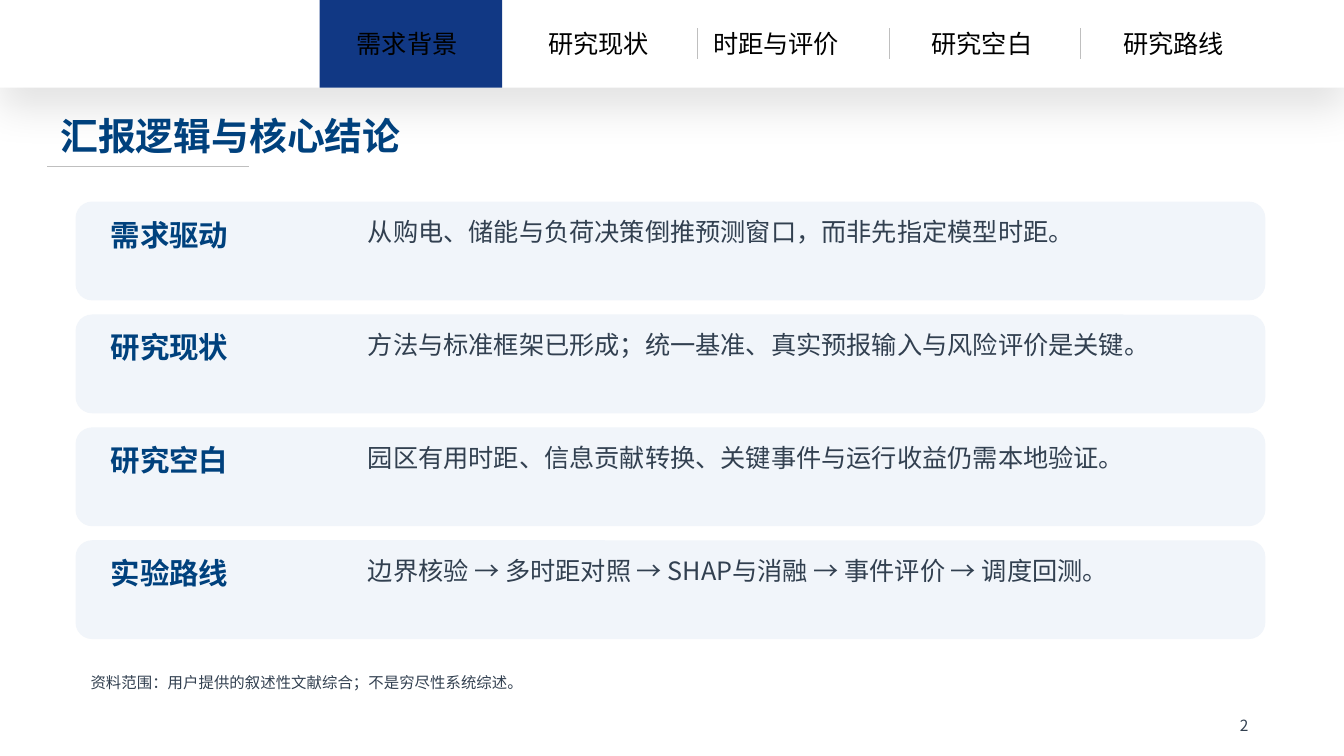
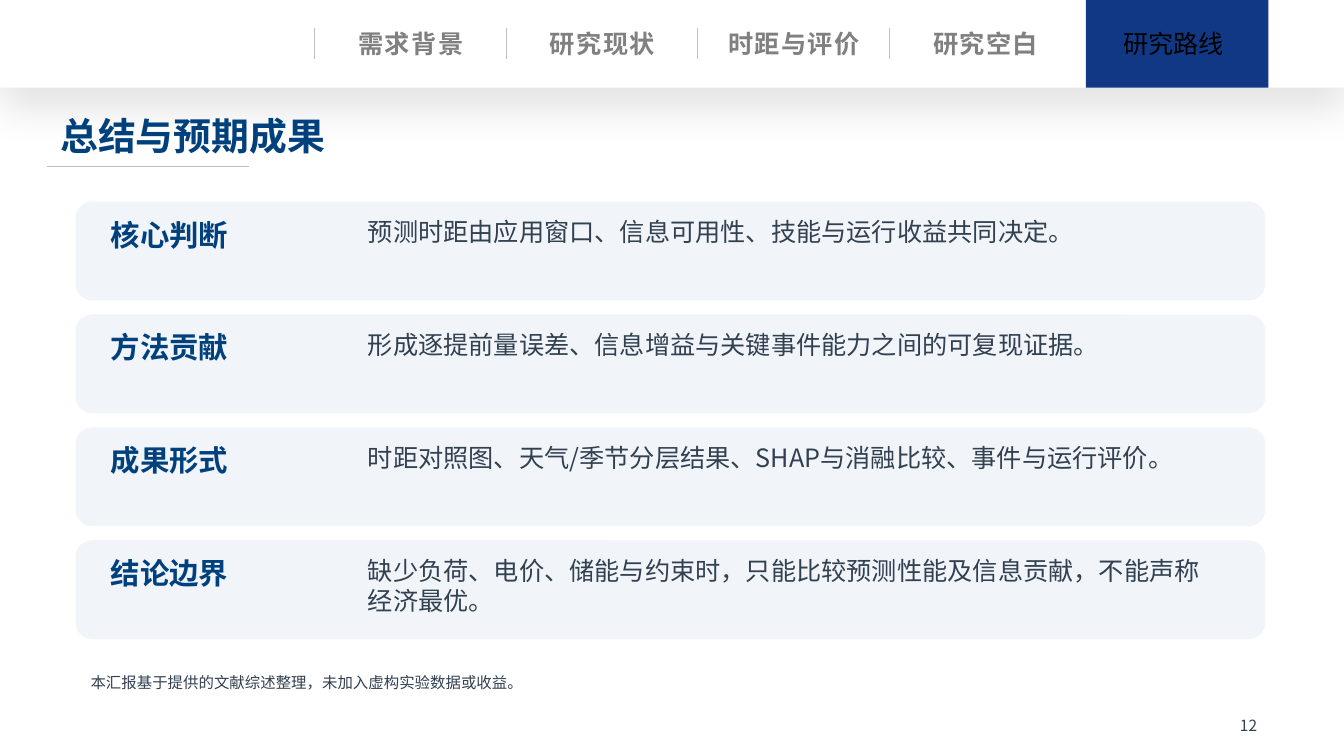
from dataclasses import dataclass
from typing import NamedTuple, Optional

from lxml import etree
from pptx import Presentation
from pptx import util as u
from pptx.dml.color import RGBColor
from pptx.enum import shapes, text
from pptx.oxml import ns


class Box(NamedTuple):
    x: float
    y: float
    w: float
    h: float


class Style(NamedTuple):
    size: int
    color: str
    font: str = "Noto Sans CJK SC"
    bold: bool = False
    spacing: int = 0
    after: int = 10
    align: Optional[text.PP_ALIGN] = None
    wrap: bool = True


class Card(NamedTuple):
    label: str
    body: str


@dataclass(frozen=True)
class Grid:
    start: float
    step: float

    def at(self, i: int) -> float:
        return self.start + i * self.step


@dataclass(frozen=True)
class Theme:
    white: str = "FFFFFF"
    active: str = "113884"
    card: str = "F1F5FA"
    rule: str = "BFBFBF"
    shadow: str = "000000"
    east_asian: str = "Noto Sans CJK SC"
    title: Style = Style(27, "00417D", bold=True)
    label: Style = Style(21, "00417D", bold=True)
    body: Style = Style(18, "324050")
    small: Style = Style(11, "324050")
    tab: Style = Style(18, "000000", "Arial", after=0, wrap=False)
    tab_muted: Style = Style(18, "808080", "Arial", True, 100, 0, text.PP_ALIGN.CENTER, False)


@dataclass(frozen=True)
class Page:
    number: int
    active: int
    title: str
    cards: tuple[Card, ...]
    note: str
    other_tabs: Style


THEME = Theme()
WIDTH, HEIGHT = 13.33, 7.5
BAND_H = 0.87
TAB_W = 1.81
TABS = ("需求背景", "研究现状", "时距与评价", "研究空白", "研究路线")
TAB_COLS = Grid(3.17, 1.9)
CARD_ROWS = Grid(2, 1.12)

PAGES = (
    Page(
        2, 0, "汇报逻辑与核心结论",
        (
            Card("需求驱动", "从购电、储能与负荷决策倒推预测窗口，而非先指定模型时距。"),
            Card("研究现状", "方法与标准框架已形成；统一基准、真实预报输入与风险评价是关键。"),
            Card("研究空白", "园区有用时距、信息贡献转换、关键事件与运行收益仍需本地验证。"),
            Card("实验路线", "边界核验 → 多时距对照 → SHAP与消融 → 事件评价 → 调度回测。"),
        ),
        "资料范围：用户提供的叙述性文献综合；不是穷尽性系统综述。",
        THEME.tab,
    ),
    Page(
        12, 4, "总结与预期成果",
        (
            Card("核心判断", "预测时距由应用窗口、信息可用性、技能与运行收益共同决定。"),
            Card("方法贡献", "形成逐提前量误差、信息增益与关键事件能力之间的可复现证据。"),
            Card("成果形式", "时距对照图、天气/季节分层结果、SHAP与消融比较、事件与运行评价。"),
            Card("结论边界", "缺少负荷、电价、储能与约束时，只能比较预测性能及信息贡献，不能声称经济最优。"),
        ),
        "本汇报基于提供的文献综述整理，未加入虚构实验数据或收益。",
        THEME.tab_muted,
    ),
)


def add_block(s, box: Box, color: str, kind=shapes.MSO_SHAPE.RECTANGLE):
    sp = s.shapes.add_shape(kind, *(u.Inches(v) for v in box))
    sp.shadow.inherit = False
    sp.fill.solid()
    sp.fill.fore_color.rgb = RGBColor.from_string(color)
    sp.line.fill.background()
    return sp


def add_rule(s, x1: float, y1: float, x2: float, y2: float) -> None:
    ends = (u.Inches(v) for v in (x1, y1, x2, y2))
    sp = s.shapes.add_connector(shapes.MSO_CONNECTOR.STRAIGHT, *ends)
    sp.line.color.rgb = RGBColor.from_string(THEME.rule)
    sp.line.width = u.Pt(0.5)
    etree.SubElement(sp._element.spPr, ns.qn("a:effectLst"))


def add_text(s, box: Box, content: str, style: Style) -> None:
    sp = s.shapes.add_textbox(*(u.Inches(v) for v in box))
    tf = sp.text_frame
    tf.text = content
    tf.word_wrap = style.wrap
    tf.auto_size = text.MSO_AUTO_SIZE.SHAPE_TO_FIT_TEXT
    p = tf.paragraphs[0]
    p.alignment = style.align
    if style.after:
        p.space_after = u.Pt(style.after)
    r = p.runs[0]
    r.font.size = u.Pt(style.size)
    r.font.bold = style.bold
    r.font.color.rgb = RGBColor.from_string(style.color)
    r.font.name = style.font
    rpr = r.font._element
    ea = etree.Element(ns.qn("a:ea"), typeface=THEME.east_asian)
    rpr.find(ns.qn("a:latin")).addnext(ea)
    if style.spacing:
        rpr.set("spc", str(style.spacing))


def add_band(s) -> None:
    sp = add_block(s, Box(0, 0, WIDTH, BAND_H), THEME.white)
    effects = sp._element.spPr.find(ns.qn("a:effectLst"))
    shadow = etree.SubElement(
        effects, ns.qn("a:outerShdw"), blurRad=str(u.Pt(28)), dist=str(u.Pt(15)),
        dir="5400000", algn="t", rotWithShape="0",
    )
    color = etree.SubElement(shadow, ns.qn("a:srgbClr"), val=THEME.shadow)
    etree.SubElement(color, ns.qn("a:alpha"), val="11000")


def add_tabs(s, page: Page) -> None:
    for i, name in enumerate(TABS):
        x = TAB_COLS.at(i)
        if i == page.active:
            add_block(s, Box(x, 0, TAB_W, BAND_H), THEME.active)
        elif i != page.active + 1:
            add_rule(s, x - 0.05, 0.28, x - 0.05, 0.59)
        w = 1.8 if len(name) > 4 else 1.27
        style = THEME.tab if i == page.active else page.other_tabs
        add_text(s, Box(x + (TAB_W - w) / 2, 0.23, w, 0.4), name, style)


def add_card(s, row: int, card: Card) -> None:
    y = CARD_ROWS.at(row)
    add_block(s, Box(0.75, y, 11.8, 0.98), THEME.card, shapes.MSO_SHAPE.ROUNDED_RECTANGLE)
    add_text(s, Box(1, y + 0.1, 2.4, 0.75), card.label, THEME.label)
    add_text(s, Box(3.55, y + 0.1, 8.65, 0.8), card.body, THEME.body)


def add_page(prs, page: Page) -> None:
    s = prs.slides.add_slide(prs.slide_layouts[6])
    s.background.fill.solid()
    s.background.fill.fore_color.rgb = RGBColor.from_string(THEME.white)
    add_band(s)
    add_rule(s, 0.47, 1.65, 2.47, 1.65)
    add_tabs(s, page)
    add_block(s, Box(0.3, 1.85, 12.7, 5.18), THEME.white)
    add_text(s, Box(0.5, 1.07, 12.3, 0.58), page.title, THEME.title)
    for row, card in enumerate(page.cards):
        add_card(s, row, card)
    add_text(s, Box(0.8, 6.63, 11.7, 0.38), page.note, THEME.small)
    add_text(s, Box(12.2, 7.06, 0.5, 0.25), str(page.number), THEME.small)


def main() -> None:
    prs = Presentation()
    prs.slide_width, prs.slide_height = u.Inches(WIDTH), u.Inches(HEIGHT)
    for page in PAGES:
        add_page(prs, page)
    prs.save("out.pptx")


if __name__ == "__main__":
    main()
